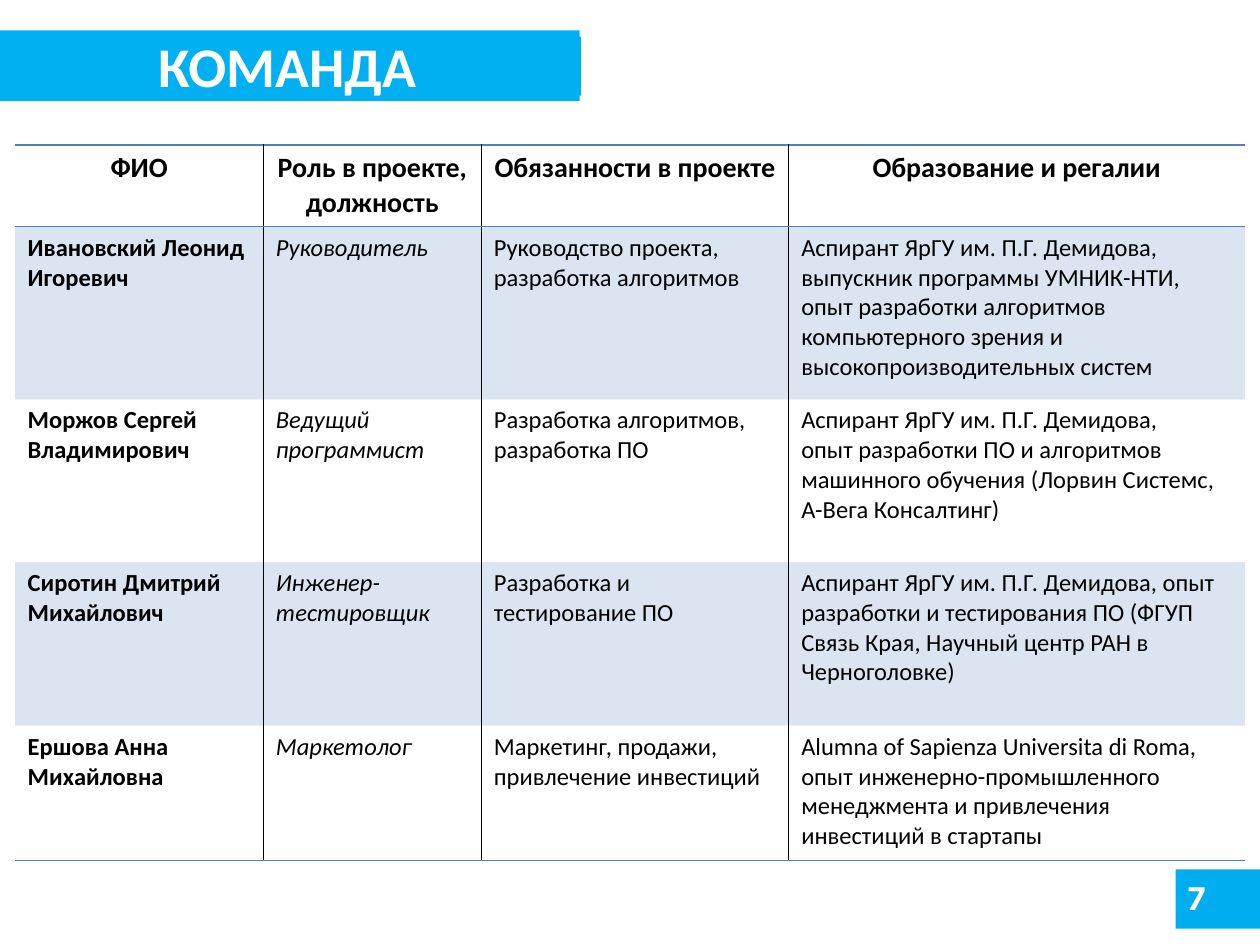
from dataclasses import dataclass
from typing import NamedTuple

from lxml import etree
from pptx import Presentation
from pptx.dml.color import RGBColor
from pptx.enum.shapes import MSO_SHAPE
from pptx.enum.text import MSO_ANCHOR, PP_ALIGN
from pptx.oxml.ns import qn
from pptx.util import Inches, Pt

RECT = MSO_SHAPE.RECTANGLE
TOP, MIDDLE = MSO_ANCHOR.TOP, MSO_ANCHOR.MIDDLE
LEFT, CENTER, JUSTIFY = PP_ALIGN.LEFT, PP_ALIGN.CENTER, PP_ALIGN.JUSTIFY
WIDTH, HEIGHT = Inches(10), Inches(7.5)


@dataclass(frozen=True)
class Theme:
    band: str = "00AEEF"
    title: str = "00B0F0"
    accent: str = "4F81BD"
    black: str = "000000"
    white: str = "FFFFFF"
    font: str = "Calibri"
    number_font: str = "Karla"
    title_size: int = 32
    number_size: int = 20
    head_size: int = 16
    body_size: int = 14
    stripe_alpha: int = 20
    rule: int = 1


class Box(NamedTuple):
    """Position and size in percent of the slide."""
    x: float
    y: float
    w: float
    h: float


class Member(NamedTuple):
    name: str
    role: str
    duties: str
    background: str


T = Theme()
TITLE_BAND = Box(0, 3.87, 46.1, 6.27)
TITLE_BOX = Box(-0.4, 3.2, 46.4, 7.47)
NUMBER_BAND = Box(93.3, 92, 6.7, 6.27)
NUMBER_BOX = NUMBER_BAND._replace(w=6.3)
COLS = (19.7, 17.3, 24.4, 36.2)
ROWS = (8.67, 18.27, 17.2, 17.33, 14.27)
TABLE_BOX = Box(1.2, 15.33, sum(COLS), sum(ROWS))

HEAD = Member("ФИО", "Роль в проекте, должность",
              "Обязанности в проекте", "Образование и регалии")
TEAM = (
    Member("Ивановский Леонид Игоревич", "Руководитель",
           "Руководство проекта, разработка алгоритмов",
           "Аспирант ЯрГУ им. П.Г. Демидова, выпускник программы УМНИК-НТИ,\n"
           "опыт разработки алгоритмов компьютерного зрения и "
           "высокопроизводительных систем"),
    Member("Моржов Сергей Владимирович", "Ведущий программист",
           "Разработка алгоритмов, разработка ПО",
           "Аспирант ЯрГУ им. П.Г. Демидова,\n"
           "опыт разработки ПО и алгоритмов машинного обучения "
           "(Лорвин Системс, А-Вега Консалтинг)"),
    Member("Сиротин Дмитрий Михайлович", "Инженер-тестировщик",
           "Разработка и тестирование ПО",
           "Аспирант ЯрГУ им. П.Г. Демидова, опыт разработки и тестирования ПО "
           "(ФГУП Связь Края, Научный центр РАН в Черноголовке)"),
    Member("Ершова Анна Михайловна", "Маркетолог",
           "Маркетинг, продажи, привлечение инвестиций",
           "Alumna of Sapienza Universita di Roma,\n"
           "опыт инженерно-промышленного менеджмента и привлечения "
           "инвестиций в стартапы"),
)

# Text formats: one for the header row and one per body column
HEAD_FORMAT = dict(size=Pt(T.head_size), bold=True, italic=False, name=T.font)
BODY = dict(size=Pt(T.body_size), bold=False, italic=False, name=T.font)
BODY_FORMATS = (BODY | dict(bold=True), BODY | dict(italic=True), BODY, BODY)
BODY_ALIGNS = (LEFT, JUSTIFY, LEFT, LEFT)
TITLE_FORMAT = dict(size=Pt(T.title_size), bold=True, name=T.font)
NUMBER_FORMAT = dict(size=Pt(T.number_size), bold=True, name=T.number_font)


def across(share: float) -> int:
    return round(WIDTH * share / 100)


def down(share: float) -> int:
    return round(HEIGHT * share / 100)


def place(box: Box) -> tuple[int, int, int, int]:
    return across(box.x), down(box.y), across(box.w), down(box.h)


def write(tf, text: str, formats: dict, color: str, align) -> None:
    for i, line in enumerate(text.split("\n")):
        p = tf.add_paragraph() if i else tf.paragraphs[0]
        p.alignment = align
        r = p.add_run()
        r.text = line
        for key, value in formats.items():
            setattr(r.font, key, value)
        r.font.color.rgb = RGBColor.from_string(color)


def add_band(slide, box: Box, color: str):
    s = slide.shapes.add_shape(RECT, *place(box))
    s.shadow.inherit = False
    s.fill.solid()
    s.fill.fore_color.rgb = RGBColor.from_string(color)
    s.line.fill.background()
    return s


def set_borders(cell, colors: dict) -> None:
    tc_pr = cell._tc.get_or_add_tcPr()
    for side, color in colors.items():
        ln = etree.SubElement(tc_pr, qn(f"a:ln{side}"), w=str(Pt(T.rule)))
        fill = etree.SubElement(ln, qn("a:solidFill" if color else "a:noFill"))
        if color:
            etree.SubElement(fill, qn("a:srgbClr"), val=color)


def fill_cell(cell, striped: bool) -> None:
    if not striped:
        cell.fill.background()
        return
    cell.fill.solid()
    cell.fill.fore_color.rgb = RGBColor.from_string(T.accent)
    clr = cell._tc.tcPr.find(f"{qn('a:solidFill')}/{qn('a:srgbClr')}")
    etree.SubElement(clr, qn("a:alpha"), val=str(T.stripe_alpha * 1000))


def add_team_table(slide) -> None:
    records = (HEAD, *TEAM)
    last_row, last_col = len(ROWS) - 1, len(COLS) - 1
    table = slide.shapes.add_table(len(ROWS), len(COLS), *place(TABLE_BOX)).table
    for col, share in zip(table.columns, COLS):
        col.width = across(share)
    for row, share in zip(table.rows, ROWS):
        row.height = down(share)
    for i, record in enumerate(records):
        for j, text in enumerate(record):
            cell = table.cell(i, j)
            set_borders(cell, {
                "L": T.black if j > 0 else None,
                "R": T.black if j < last_col else None,
                "T": T.accent if i in (0, 1) else None,
                "B": T.accent if i in (0, last_row) else None,
            })
            fill_cell(cell, i % 2 == 1)
            formats = BODY_FORMATS[j] if i else HEAD_FORMAT
            align = BODY_ALIGNS[j] if i else CENTER
            write(cell.text_frame, text, formats, T.black, align)


def main() -> None:
    prs = Presentation()
    prs.slide_width, prs.slide_height = WIDTH, HEIGHT
    slide = prs.slides.add_slide(prs.slide_layouts[6])

    # Background bands and page number
    add_band(slide, TITLE_BAND, T.band)
    add_band(slide, NUMBER_BAND, T.band)
    tf = slide.shapes.add_textbox(*place(NUMBER_BOX)).text_frame
    tf.word_wrap = True
    tf.vertical_anchor = TOP
    write(tf, "7", NUMBER_FORMAT, T.white, LEFT)

    # Team table
    add_team_table(slide)

    # Title
    tf = add_band(slide, TITLE_BOX, T.title).text_frame
    tf.vertical_anchor = MIDDLE
    write(tf, "КОМАНДА", TITLE_FORMAT, T.white, CENTER)

    prs.save("out.pptx")


if __name__ == "__main__":
    main()
